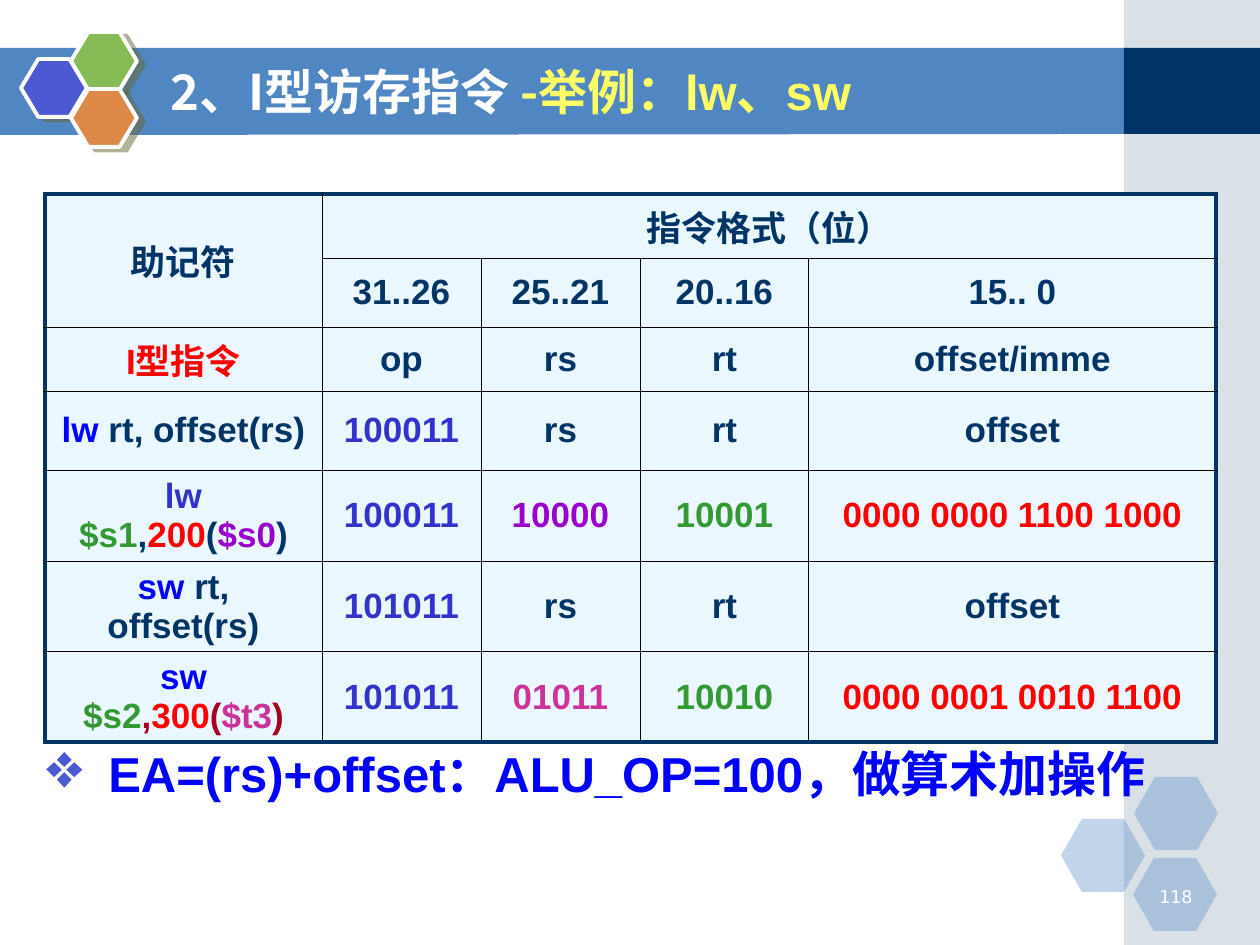
from dataclasses import dataclass

import pptx
import pptx.dml.color
import pptx.enum.shapes
import pptx.enum.text
import pptx.oxml
import pptx.oxml.ns
import pptx.util

RGB = pptx.dml.color.RGBColor
SHAPE = pptx.enum.shapes.MSO_SHAPE
ALIGN = pptx.enum.text.PP_ALIGN
MIDDLE = pptx.enum.text.MSO_ANCHOR.MIDDLE
qn = pptx.oxml.ns.qn

WHITE = RGB(0xFF, 0xFF, 0xFF)
BLACK = RGB(0, 0, 0)
NAVY = RGB(0x00, 0x33, 0x66)
STEEL = RGB(0x50, 0x86, 0xC2)
GREY_BLUE = RGB(0xA0, 0xB5, 0xC4)
INDIGO = RGB(0x4C, 0x59, 0xD2)
LEAF = RGB(0x85, 0xBA, 0x54)
ORANGE = RGB(0xDE, 0x88, 0x48)
OLIVE = RGB(0x66, 0x66, 0x33)
YELLOW = RGB(0xFF, 0xFF, 0x66)
PALE = RGB(0xEB, 0xF7, 0xFF)
RED = RGB(0xFF, 0, 0)
BLUE = RGB(0, 0, 0xFF)
OPCODE = RGB(0x33, 0x33, 0xCC)
GREEN = RGB(0x33, 0x99, 0x33)
PURPLE = RGB(0x99, 0x00, 0xCC)
PINK = RGB(0xCC, 0x33, 0x99)
MAROON = RGB(0xA5, 0x00, 0x21)

CJK = "Noto Sans CJK SC"
PX_PER_INCH = 126


@dataclass
class Run:
    text: str
    color: RGB = NAVY
    font: str = "Arial"


@dataclass
class Block:
    shape: int
    left: int
    top: int
    width: int
    height: int
    fill: RGB
    alpha: int = 100
    adj: float = 0
    badge: bool = False


def px(n: int) -> int:
    return round(n * 914400 / PX_PER_INCH)


def xml(body: str):
    tag, rest = body[1:].split(" ", 1)
    return pptx.oxml.parse_xml(f"<{tag} {pptx.oxml.ns.nsdecls('a')} {rest}")


def draw_block(s, b: Block) -> None:
    sp = s.shapes.add_shape(b.shape, px(b.left), px(b.top), px(b.width), px(b.height))
    sp.shadow.inherit = False
    sp.fill.solid()
    sp.fill.fore_color.rgb = b.fill
    if b.adj:
        sp.adjustments[0] = b.adj
    if b.alpha < 100:
        color = sp.fill._xPr.find(qn("a:solidFill"))[0]
        color.append(xml(f'<a:alpha val="{b.alpha * 1000}"/>'))
    if b.badge:
        sp.line.color.rgb = WHITE
        sp.line.width = pptx.util.Pt(2.25)
        sp._element.spPr.find(qn("a:effectLst")).append(xml(
            '<a:outerShdw dist="57150" dir="1620000" algn="ctr" rotWithShape="0">'
            f'<a:srgbClr val="{OLIVE}"><a:alpha val="50000"/></a:srgbClr></a:outerShdw>'))
    else:
        sp.line.fill.background()


def write_runs(p, runs: list[Run], size: int, bold: bool = True) -> None:
    for run in runs:
        r = p.add_run()
        r.text = run.text
        r.font.size = pptx.util.Pt(size)
        r.font.bold = bold
        r.font.name = run.font
        r.font.color.rgb = run.color
        r.font._element.append(xml(f'<a:ea typeface="{CJK}"/>'))


def add_text(s, left: int, top: int, width: int, height: int):
    tf = s.shapes.add_textbox(px(left), px(top), px(width), px(height)).text_frame
    tf.word_wrap = True
    return tf


def set_borders(cell, outer: dict[str, bool]) -> None:
    tcPr = cell._tc.get_or_add_tcPr()
    for i, side in enumerate("LRTB"):
        color, width = (NAVY, 28575) if outer[side] else (BLACK, 6350)
        tcPr.insert(i, xml(f'<a:ln{side} w="{width}"><a:solidFill>'
                           f'<a:srgbClr val="{color}"/></a:solidFill></a:ln{side}>'))


def example(op: Run, target: str, offset: str, base: Run, mark: RGB) -> list[Run]:
    return [op, Run(target, GREEN), Run(",", mark), Run(offset, RED),
            Run("(", mark), base, Run(")", mark)]


def general(op: str, code: str) -> list[list[Run]]:
    return [[Run(op, BLUE), Run("rt, offset(rs)")], [Run(code, OPCODE)],
            [Run("rs")], [Run("rt")], [Run("offset")]]


COLUMNS = [277, 159, 159, 169, 407]
ROWS = [64, 69, 64, 79, 91, 91, 90]
CELLS = [
    [[Run("助记符")], [Run("指令格式（位）")], [], [], []],
    [[]] + [[Run(t)] for t in ("31..26", "25..21", "20..16", "15.. 0")],
    [[Run("I型指令", RED)]] + [[Run(t)] for t in ("op", "rs", "rt", "offset/imme")],
    general("lw ", "100011"),
    [example(Run("lw ", OPCODE), "$s1", "200", Run("$s0", PURPLE), NAVY),
     [Run("100011", OPCODE)], [Run("10000", PURPLE)], [Run("10001", GREEN)],
     [Run("0000 0000 1100 1000", RED)]],
    general("sw ", "101011"),
    [example(Run("sw ", BLUE), "$s2", "300", Run("$t3", PINK), MAROON),
     [Run("101011", OPCODE)], [Run("01011", PINK)], [Run("10010", GREEN)],
     [Run("0000 0001 0010 1100", RED)]],
]


def draw_table(s, left: int, top: int) -> None:
    table = s.shapes.add_table(len(ROWS), len(COLUMNS), px(left), px(top),
                               px(sum(COLUMNS)), px(sum(ROWS))).table
    table.first_row = table.horz_banding = False
    for col, width in zip(table.columns, COLUMNS):
        col.width = px(width)
    for row, height in zip(table.rows, ROWS):
        row.height = px(height)
    table.cell(0, 0).merge(table.cell(1, 0))
    table.cell(0, 1).merge(table.cell(0, 4))
    for i, row in enumerate(CELLS):
        for j, runs in enumerate(row):
            cell = table.cell(i, j)
            cell.fill.solid()
            cell.fill.fore_color.rgb = PALE
            cell.vertical_anchor = MIDDLE
            # Slim margins let two lines fit the row height
            cell.margin_top = cell.margin_bottom = px(1)
            p = cell.text_frame.paragraphs[0]
            p.alignment = ALIGN.CENTER
            write_runs(p, runs, 20)
            right = j + (cell.span_width if cell.is_merge_origin else 1)
            bottom = i + (cell.span_height if cell.is_merge_origin else 1)
            set_borders(cell, {"L": j == 0, "R": right == len(COLUMNS),
                               "T": i == 0, "B": bottom == len(ROWS)})


def main() -> None:
    prs = pptx.Presentation()
    prs.slide_width, prs.slide_height = px(1260), px(945)
    s = prs.slides.add_slide(prs.slide_layouts[6])

    # Title band
    outline = s.shapes.build_freeform(px(-1), px(48))
    outline.add_line_segments([(px(1128), px(48)), (px(1128), px(134)), (px(-1), px(135))])
    band = outline.convert_to_shape()
    band.shadow.inherit = False
    band.fill.solid()
    band.fill.fore_color.rgb = STEEL
    band.line.fill.background()

    # Side strip and hexagons
    blocks = [Block(SHAPE.RECTANGLE, 1124, 0, 136, 945, GREY_BLUE, 40),
              Block(SHAPE.RECTANGLE, 1124, 48, 136, 86, NAVY)]
    blocks += [Block(SHAPE.HEXAGON, x, y, 84, 73, STEEL, 35, 0.286)
               for x, y in ((1061, 819), (1134, 777), (1133, 858))]
    blocks += [Block(SHAPE.HEXAGON, x, y, 66, 58, fill, adj=0.3, badge=True)
               for x, y, fill in ((21, 59, INDIGO), (71, 32, LEAF), (71, 89, ORANGE))]
    for block in blocks:
        draw_block(s, block)

    # Page number
    p = add_text(s, 1142, 880, 63, 32).paragraphs[0]
    p.alignment = ALIGN.RIGHT
    write_runs(p, [Run("118", WHITE, "DejaVu Sans")], 10, bold=False)

    # Title
    tf = add_text(s, 158, 56, 925, 69)
    tf.vertical_anchor = MIDDLE
    write_runs(tf.paragraphs[0], [Run("2、I型访存指令 ", WHITE, CJK),
                                  Run("-举例：", YELLOW, CJK), Run("lw、sw", YELLOW)], 28)

    # Instruction formats
    draw_table(s, 45, 194)

    # Effective address note
    p = add_text(s, 34, 737, 1134, 89).paragraphs[0]
    pPr = p._p.get_or_add_pPr()
    pPr.set("marL", str(px(62)))
    pPr.set("indent", str(px(-62)))
    pPr.append(xml(f'<a:buClr ><a:srgbClr val="{INDIGO}"/></a:buClr>'))
    pPr.append(xml('<a:buSzPct val="130000"/>'))
    pPr.append(xml('<a:buChar char="❖"/>'))
    write_runs(p, [Run("EA=(rs)+offset：ALU_OP=100，做算术加操作", BLUE)], 28)

    prs.save("out.pptx")


if __name__ == "__main__":
    main()
